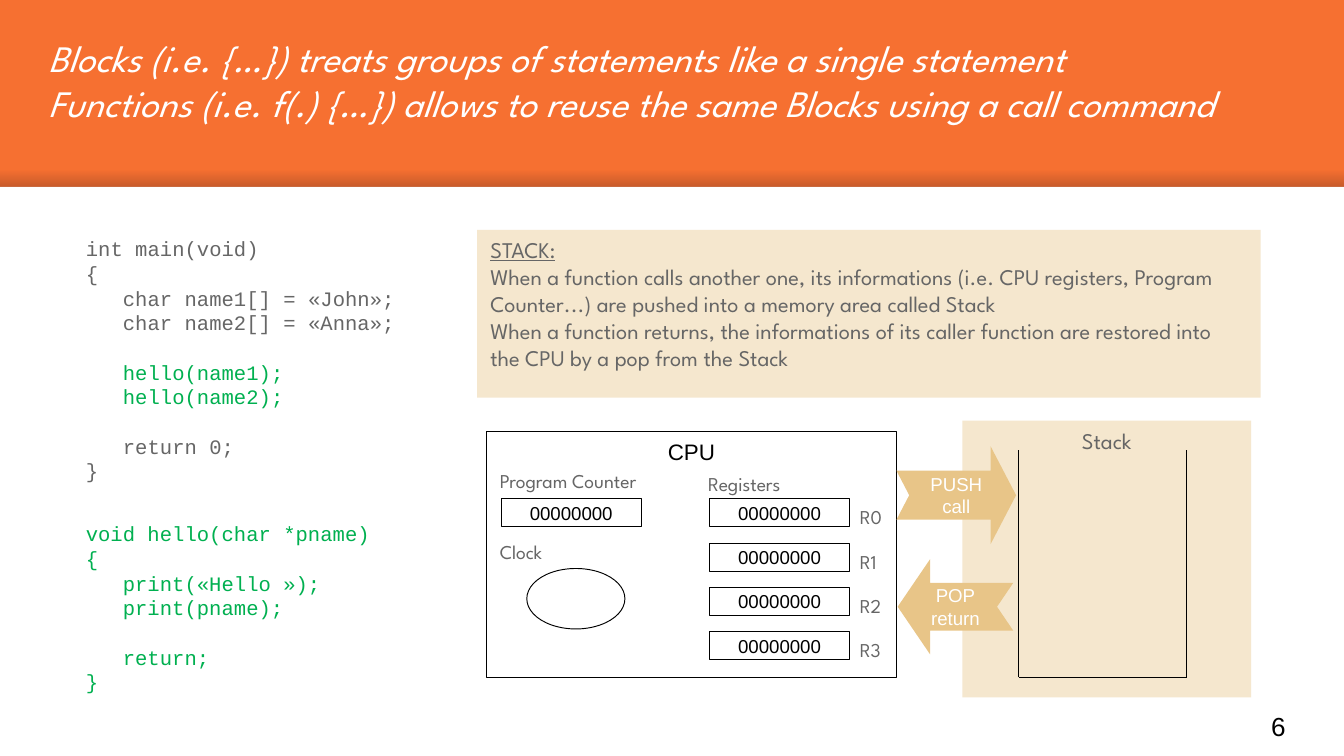
from lxml.etree import SubElement
from pptx import Presentation
from pptx.dml.color import RGBColor
from pptx.enum.shapes import MSO_CONNECTOR, MSO_SHAPE
from pptx.enum.text import MSO_ANCHOR, MSO_AUTO_SIZE, PP_ALIGN
from pptx.oxml.ns import qn
from pptx.util import Inches, Pt

# A 16:9 grid of square cells, ten to the inch
CELLS_PER_INCH = 10
COLUMNS = 100
ROWS = COLUMNS * 9 / 16

ORANGE, SAND, WHITE, BLACK = "F67031", "E8C588", "FFFFFF", "000000"
GREY, GREEN, NAVY = "666666", "00B050", "000014"

HEADING = {"name": "League Spartan", "size": Pt(20), "italic": True, "color": WHITE}
PROSE = {"name": "League Spartan", "size": Pt(12), "color": GREY}
LABEL = {**PROSE, "size": Pt(10.5)}
CODE = {"name": "Courier New", "size": Pt(11), "color": GREY}
CALL = {**CODE, "color": GREEN}
PLAIN = {"name": "Arial", "size": Pt(12), "color": BLACK}
VALUE = {**PLAIN, "size": Pt(10)}
ARROW = {**VALUE, "color": WHITE}
NUMBER = {**PLAIN, "size": Pt(14)}
BLANK_LINE = Pt(13.2)

HEADLINES = [
    "Blocks (i.e. {…}) treats groups of statements like a single statement",
    "Functions (i.e. f(.) {…}) allows to reuse the same Blocks using a call command",
]
STACK_NOTES = [
    "When a function calls another one, its informations (i.e. CPU registers, "
    "Program Counter...) are pushed into a memory area called Stack",
    "When a function returns, the informations of its caller function are "
    "restored into the CPU by a pop from the Stack",
]
# Each code line: text, format, whether a gap comes before it
MAIN_CODE = [
    ("int main(void)", CODE, False),
    ("{", CODE, False),
    ("   char name1[] = «John»;", CODE, False),
    ("   char name2[] = «Anna»;", CODE, False),
    ("   hello(name1);", CALL, True),
    ("   hello(name2);", CALL, False),
    ("   return 0;", CODE, True),
    ("}", CODE, False),
]
HELLO_CODE = [
    ("void hello(char *pname)", CALL, False),
    ("{", CALL, False),
    ("   print(«Hello »);", CALL, False),
    ("   print(pname);", CALL, False),
    ("   return;", CALL, True),
    ("}", CALL, False),
]


def color(code):
    return RGBColor.from_string(code)


def grid(*cells):
    return [Inches(count / CELLS_PER_INCH) for count in cells]


def set_alpha(parent, percent):
    SubElement(parent.find(".//" + qn("a:srgbClr")), qn("a:alpha"), val=str(percent * 1000))


def write(frame, lines, align=PP_ALIGN.LEFT):
    """Fill a text frame from (text, format, gap before) lines."""
    for index, (text, style, gap) in enumerate(lines):
        para = frame.paragraphs[0] if index == 0 else frame.add_paragraph()
        para.alignment = align
        if gap:
            para.space_before = BLANK_LINE
        span = para.add_run()
        span.text = text
        for key, value in style.items():
            if key == "color":
                span.font.color.rgb = color(value)
            else:
                setattr(span.font, key, value)


def same(texts, style):
    return [(text, style, False) for text in texts]


def set_margins(frame, inset):
    for side in ("left", "top", "right", "bottom"):
        setattr(frame, f"margin_{side}", inset)


def add_text(page, place, lines, wrap=True):
    box = page.shapes.add_textbox(*grid(*place))
    box.text_frame.word_wrap = wrap
    write(box.text_frame, lines)
    return box


def add_block(page, place, fill, lines=(), kind=MSO_SHAPE.RECTANGLE, line=None,
              alpha=None, anchor=MSO_ANCHOR.MIDDLE, align=PP_ALIGN.CENTER):
    block = page.shapes.add_shape(kind, *grid(*place))
    block.shadow.inherit = False
    block.fill.solid()
    block.fill.fore_color.rgb = color(fill)
    if alpha:
        set_alpha(block.fill._xPr, alpha)
    if line:
        block.line.color.rgb = color(line)
        block.line.width = Pt(0.5)
    else:
        block.line.fill.background()
    block.text_frame.vertical_anchor = anchor
    write(block.text_frame, lines, align)
    return block


def add_value(page, left, top):
    add_block(page, (left, top, 10.4, 2.1), WHITE, same(["00000000"], VALUE), line=BLACK)


def add_arrow(page, place, texts, notch, flip=False):
    arrow = add_block(page, place, SAND, same(texts, ARROW), MSO_SHAPE.NOTCHED_RIGHT_ARROW)
    arrow.adjustments[0] = 0.5
    arrow.adjustments[1] = notch
    if flip:
        arrow._element.spPr.find(qn("a:xfrm")).set("flipH", "1")


def add_line(page, *ends):
    line = page.shapes.add_connector(MSO_CONNECTOR.STRAIGHT, *grid(*ends))
    line.line.color.rgb = color(BLACK)
    line.line.width = Pt(0.75)
    SubElement(line._element.spPr, qn("a:effectLst"))


def add_banner(page):
    """Orange background, white lower area, soft shade and title."""
    page.background.fill.solid()
    page.background.fill.fore_color.rgb = color(ORANGE)
    add_block(page, (0, 13.9, COLUMNS, ROWS - 13.9), WHITE)
    shade = add_block(page, (0, 12.7, COLUMNS, 1.2), NAVY)
    shade.fill.gradient()
    shade.fill.gradient_angle = 90
    for stop, alpha in zip(shade.fill.gradient_stops, (20, 0)):
        stop.color.rgb = color(NAVY)
        set_alpha(stop._gs, alpha)

    title = page.shapes.title
    title.left, title.top, title.width, title.height = grid(2.6, 1.6, 93.1, 11.7)
    frame = title.text_frame
    frame.auto_size = MSO_AUTO_SIZE.NONE
    frame.vertical_anchor = MSO_ANCHOR.TOP
    set_margins(frame, Inches(0.1))
    write(frame, same(HEADLINES, HEADING))


def add_cpu(page):
    add_block(page, (36.2, 32.1, 30.5, 18.3), WHITE, same(["CPU"], PLAIN),
              line=BLACK, anchor=MSO_ANCHOR.TOP)
    for text, left, top in (("Program Counter", 36.2, 34.4), ("Clock", 36.2, 39.7),
                            ("Registers", 51.7, 34.6)):
        add_text(page, (left, top, 16.1, 2.9), same([text], LABEL))
    add_value(page, 37.3, 37.1)
    add_block(page, (39.2, 42.3, 7.3, 4.5), WHITE, kind=MSO_SHAPE.OVAL, line=BLACK)
    for index in range(4):
        top = 37.1 + index * 3.3
        add_value(page, 52.8, top)
        add_text(page, (63, top, 3.9, 2.9), same([f"R{index}"], LABEL))


def add_stack(page):
    left, right, top, bottom = 75.8, 88.3, 33.5, 50.4
    add_block(page, (71.6, 31.3, 21.5, 20.6), SAND, same(["Stack"], PROSE),
              alpha=41, anchor=MSO_ANCHOR.TOP)
    add_line(page, left, top, left, bottom)
    add_line(page, left, bottom, right, bottom)
    add_line(page, right, top, right, bottom)
    add_arrow(page, (66.7, 33.2, 8.9, 7.3), ["PUSH", "call"], 0.26)
    add_arrow(page, (66.8, 41.6, 8.6, 7.1), ["POP", "return"], 0.34, flip=True)


def main():
    deck = Presentation()
    deck.slide_width, deck.slide_height = grid(COLUMNS, ROWS)
    page = deck.slides.add_slide(deck.slide_layouts[5])
    add_banner(page)

    # Code listings
    add_text(page, (5.4, 17.1, 25.2, 19.5), MAIN_CODE, wrap=False)
    add_text(page, (5.4, 38.3, 23.4, 14), HELLO_CODE, wrap=False)

    # Explanation and diagram
    notes = [("STACK:", {**PROSE, "underline": True}, False)] + same(STACK_NOTES, PROSE)
    add_block(page, (35.5, 17.1, 58.3, 12.5), SAND, notes, alpha=41,
              anchor=MSO_ANCHOR.TOP, align=PP_ALIGN.LEFT)
    add_cpu(page)
    add_stack(page)

    # Page number
    number = add_text(page, (93.6, 51.9, 6, 4.3), same(["6"], NUMBER))
    number.text_frame.vertical_anchor = MSO_ANCHOR.MIDDLE
    set_margins(number.text_frame, Inches(0.1))
    deck.save("out.pptx")


if __name__ == "__main__":
    main()
